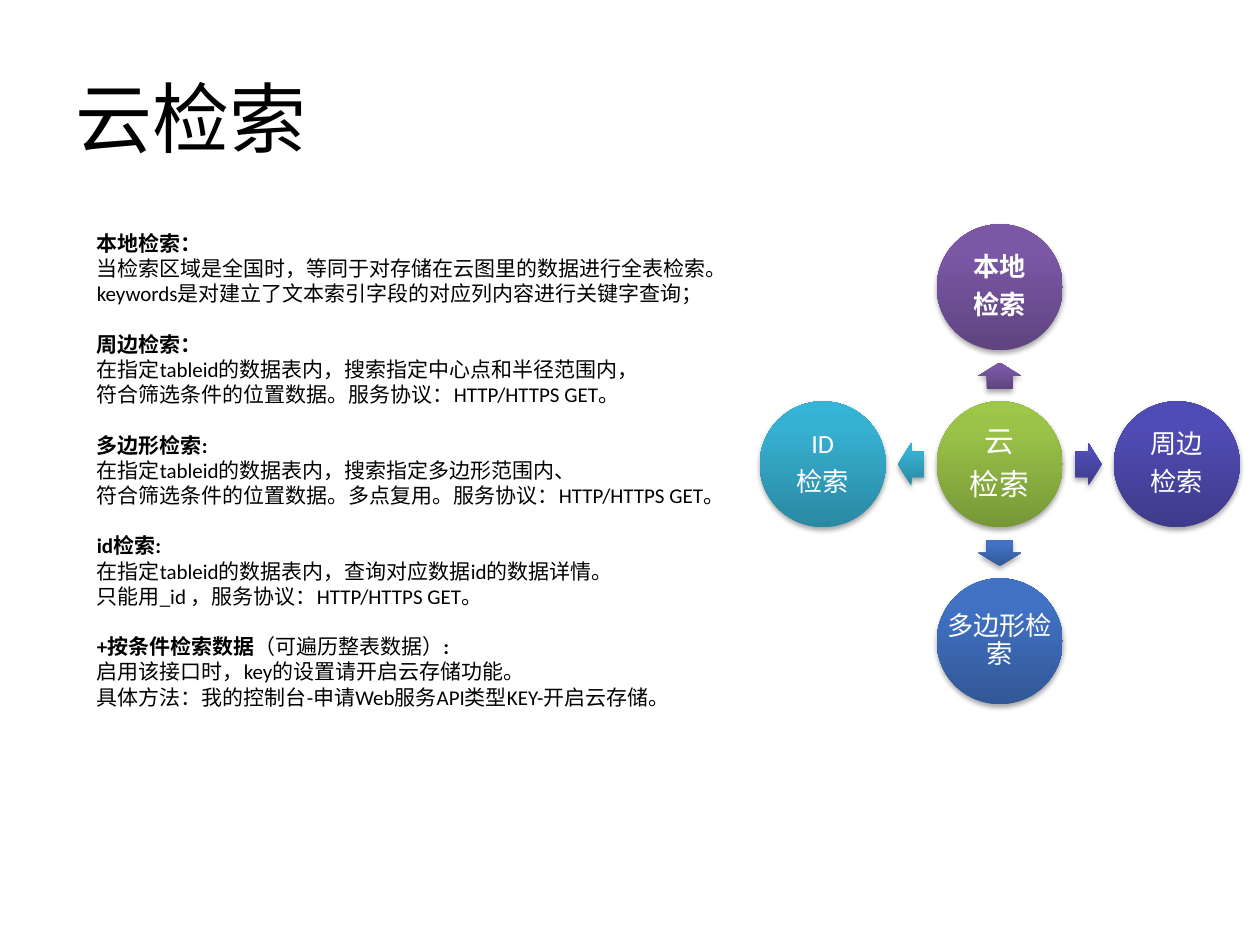
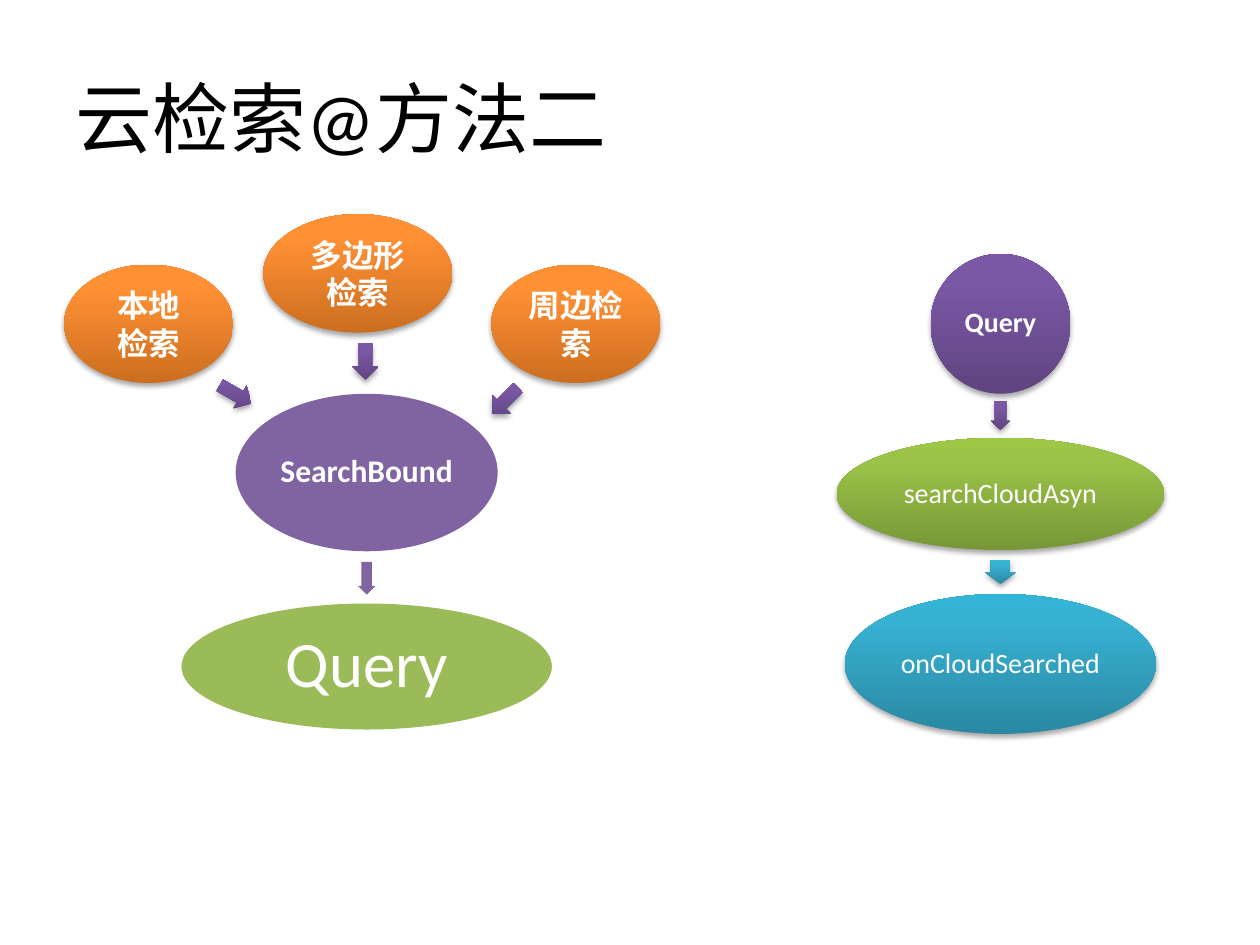
from math import cos, radians, sin

from pptx import Presentation
from pptx.dml.color import RGBColor
from pptx.enum.shapes import MSO_SHAPE
from pptx.enum.text import MSO_ANCHOR, PP_ALIGN
from pptx.oxml import parse_xml
from pptx.oxml.ns import nsdecls, qn
from pptx.util import Inches, Pt

FONT = "Calibri"
BLACK, WHITE = "000000", "FFFFFF"
GREEN = ("779737", "9BC348", "9DC746")
PURPLE = ("5F4480", "7B58A6", "7C57A8")
INDIGO = ("3E3B8B", "504CB5", "4F4BB8")
BLUE = ("325897", "4172C4", "3F72C7")
TEAL = ("2A88A2", "37B1D2", "34B4D6")
ORANGE = ("CC6E20", "FF9034", "FF9136")
FLAT_GREEN, FLAT_PURPLE = "9BBB59", "8064A2"

SECTIONS = [
    ([("本地检索：", True)],
     "当检索区域是全国时，等同于对存储在云图里的数据进行全表检索。",
     "keywords是对建立了文本索引字段的对应列内容进行关键字查询；"),
    ([("周边检索：", True)],
     "在指定tableid的数据表内，搜索指定中心点和半径范围内，",
     "符合筛选条件的位置数据。服务协议：HTTP/HTTPS GET。"),
    ([("多边形检索:", True)],
     "在指定tableid的数据表内，搜索指定多边形范围内、",
     "符合筛选条件的位置数据。多点复用。服务协议：HTTP/HTTPS GET。"),
    ([("id检索:", True)],
     "在指定tableid的数据表内，查询对应数据id的数据详情。",
     "只能用_id ，服务协议：HTTP/HTTPS GET。"),
    ([("+按条件检索数据", True), ("（可遍历整表数据）", False), (":", True)],
     "启用该接口时，key的设置请开启云存储功能。",
     "具体方法：我的控制台-申请Web服务API类型KEY-开启云存储。"),
]


def rgb(color):
    """Turn a hex string into a colour."""
    return RGBColor.from_string(color)


def add_run(paragraph, text, size, color, bold=False):
    """Add one formatted run."""
    run = paragraph.add_run()
    run.text = text
    run.font.name, run.font.size, run.font.bold = FONT, Pt(size), bold
    run.font.color.rgb = rgb(color)


def paint(shape, color):
    """Fill flat for one colour, or glossy with a soft shadow for three."""
    shape.shadow.inherit = False
    shape.line.fill.background()
    if isinstance(color, str):
        shape.fill.solid()
        shape.fill.fore_color.rgb = rgb(color)
        return
    shape.fill.gradient()
    properties = shape.fill._xPr
    stops = "".join(f'<a:gs pos="{at}"><a:srgbClr val="{stop}"/></a:gs>'
                    for at, stop in zip((0, 80000, 100000), color))
    properties.replace(properties.find(qn("a:gradFill")), parse_xml(
        f'<a:gradFill rotWithShape="0" {nsdecls("a")}><a:gsLst>{stops}</a:gsLst>'
        '<a:lin ang="16200000" scaled="0"/></a:gradFill>'))
    properties.find(qn("a:effectLst")).append(parse_xml(
        f'<a:outerShdw {nsdecls("a")} blurRad="{Pt(3.1)}" dist="{Pt(1.8)}" dir="5400000" '
        'rotWithShape="0"><a:srgbClr val="000000"><a:alpha val="35000"/></a:srgbClr></a:outerShdw>'))


def add_centred(slide, kind, x, y, width, height):
    """Place a preset shape around a centre point."""
    return slide.shapes.add_shape(kind, Inches(x - width / 2), Inches(y - height / 2),
                                  Inches(width), Inches(height))


def add_arrow(slide, x, y, length, width, angle, color, shaft=0.6):
    """Draw a block arrow pointing along an angle."""
    arrow = add_centred(slide, MSO_SHAPE.RIGHT_ARROW, x, y, length, width)
    arrow.adjustments[0], arrow.adjustments[1] = shaft, 0.5
    arrow.rotation = angle
    paint(arrow, color)


def add_bubble(slide, x, y, width, height, lines, size, color, bold=False, tight=True):
    """Draw a labelled ellipse; tight labels keep their own line breaks."""
    bubble = add_centred(slide, MSO_SHAPE.OVAL, x, y, width, height)
    paint(bubble, color)
    frame = bubble.text_frame
    frame.word_wrap = not tight
    frame.vertical_anchor = MSO_ANCHOR.MIDDLE
    if tight:
        frame.margin_left = frame.margin_right = Inches(0.02)
        frame.margin_top = frame.margin_bottom = Inches(0.02)
    for index, line in enumerate(lines):
        paragraph = frame.add_paragraph() if index else frame.paragraphs[0]
        paragraph.alignment = PP_ALIGN.CENTER
        if tight:
            paragraph.line_spacing = 0.9
            paragraph.space_after = Pt(size * 0.35)
        for part_index, part in enumerate(line.split("\n")):
            if part_index:
                paragraph.add_line_break()
            add_run(paragraph, part, size, WHITE, bold)


def add_titled_slide(deck, heading):
    """Add a slide with the shared title style."""
    slide = deck.slides.add_slide(deck.slide_layouts[5])
    title = slide.shapes.title
    title.left, title.top = Inches(0.5), Inches(0.3)
    title.width, title.height = Inches(9), Inches(1.25)
    title.text_frame.vertical_anchor = MSO_ANCHOR.MIDDLE
    paragraph = title.text_frame.paragraphs[0]
    paragraph.alignment = PP_ALIGN.LEFT
    add_run(paragraph, heading, 44, BLACK)
    return slide


def add_descriptions(slide, left, top, width, height):
    """Write the search types, each a bold heading with two lines."""
    frame = slide.shapes.add_textbox(Inches(left), Inches(top),
                                     Inches(width), Inches(height)).text_frame
    frame.word_wrap = True
    for index, (heading, *details) in enumerate(SECTIONS):
        paragraph = frame.add_paragraph() if index else frame.paragraphs[0]
        if index:
            paragraph.space_before = Pt(14.4)
        for text, bold in heading:
            add_run(paragraph, text, 12, BLACK, bold)
        for detail in details:
            add_run(frame.add_paragraph(), detail, 12, BLACK)


def add_search_hub(slide, left, top, side):
    """Draw the hub with four search types around it in a square box."""
    diameter = 1
    reach = (side - diameter) / 2
    x, y = left + side / 2, top + side / 2
    add_bubble(slide, x, y, diameter, diameter, ["云", "检索"], 17, GREEN)
    spokes = [(270, ["本地", "检索"], PURPLE, True), (0, ["周边", "检索"], INDIGO, False),
              (90, ["多边形检\n索"], BLUE, False), (180, ["ID", "检索"], TEAL, False)]
    for angle, lines, color, bold in spokes:
        dx, dy = reach * cos(radians(angle)), reach * sin(radians(angle))
        add_arrow(slide, x + dx / 2, y + dy / 2, 0.21, 0.34, angle, color)
        add_bubble(slide, x + dx, y + dy, diameter, diameter, lines, 15, color, bold)


def add_query_build(slide, left, top):
    """Draw three search types leading to a bound and then a query."""
    searches = [(0.67, 0.87, 1.34, ["本地", "检索"]), (4.06, 0.87, 1.34, ["周边检索"]),
                (2.33, 0.47, 1.5, ["多边形检索"])]
    x = left + 2.4
    add_bubble(slide, x, top + 3.59, 2.94, 1, ["Query"], 37, FLAT_GREEN)
    add_arrow(slide, x, top + 2.89, 0.26, 0.14, 90, FLAT_PURPLE)
    add_bubble(slide, x, top + 2.05, 2.08, 1.25, ["SearchBound"], 18, FLAT_PURPLE, True)
    for dx, dy, width, lines in searches:
        add_bubble(slide, left + dx, top + dy, width, 0.94, lines, 18, ORANGE, True, False)
    for dx, dy, angle in [(2.39, 1.17, 90), (1.36, 1.43, 30), (3.5, 1.48, 135)]:
        add_arrow(slide, left + dx, top + dy, 0.29, 0.21, angle, PURPLE, 0.5)


def add_call_flow(slide, left, top, width):
    """Draw the query, the call and its callback from top to bottom."""
    x = left + width / 2
    add_bubble(slide, x, top + 1.9, width, 0.89, ["searchCloudAsyn"], 16, GREEN)
    add_arrow(slide, x, top + 1.28, 0.23, 0.15, 90, PURPLE)
    add_bubble(slide, x, top + 0.55, 1.11, 1.11, ["Query"], 16, PURPLE, True)
    add_arrow(slide, x, top + 2.52, 0.19, 0.25, 90, TEAL)
    add_bubble(slide, x, top + 3.25, 2.47, 1.11, ["onCloudSearched"], 16, TEAL)


def build():
    """Build and save the deck."""
    deck = Presentation()
    deck.slide_width, deck.slide_height = Inches(10), Inches(7.5)
    overview = add_titled_slide(deck, "云检索")
    add_search_hub(overview, 6.03, 1.78, 3.81)
    add_descriptions(overview, 0.67, 1.78, 5.25, 4.34)
    method = add_titled_slide(deck, "云检索@方法二")
    add_call_flow(method, 6.64, 2.02, 2.6)
    add_query_build(method, 0.51, 1.7)
    deck.save("out.pptx")


build()
